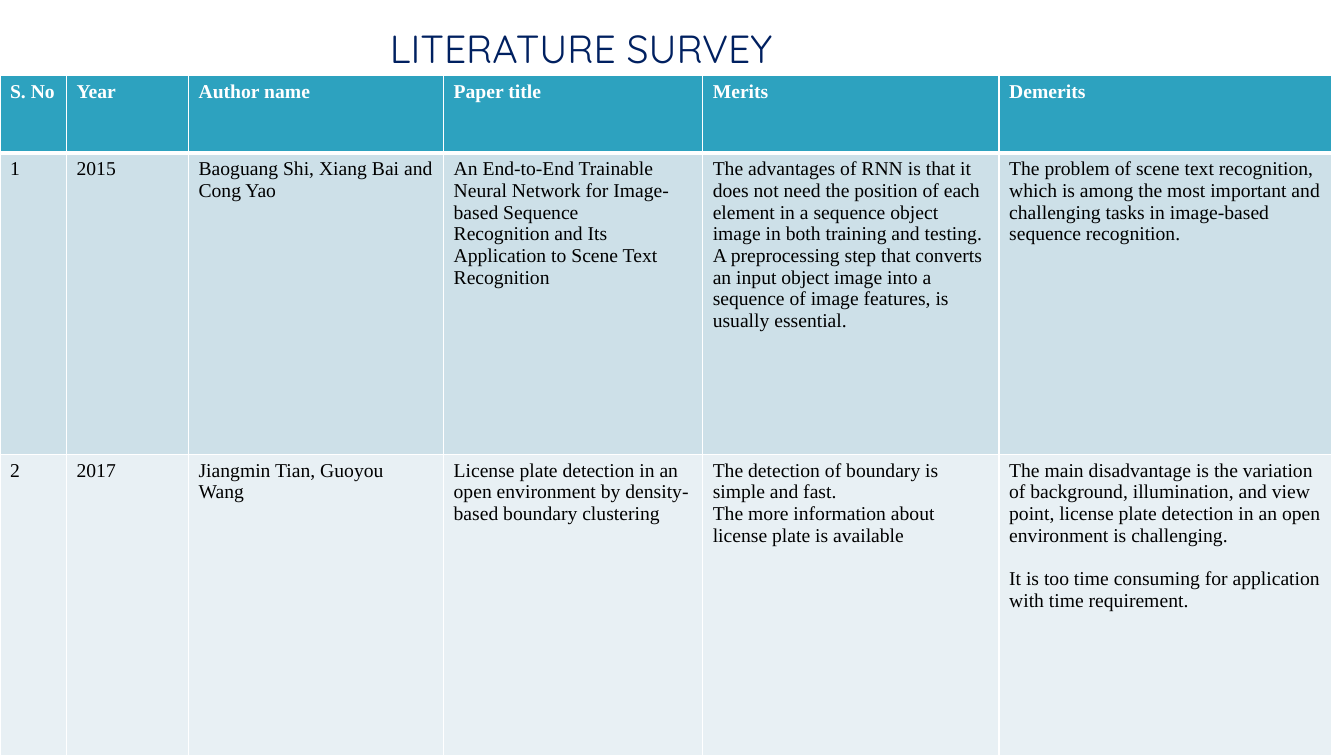
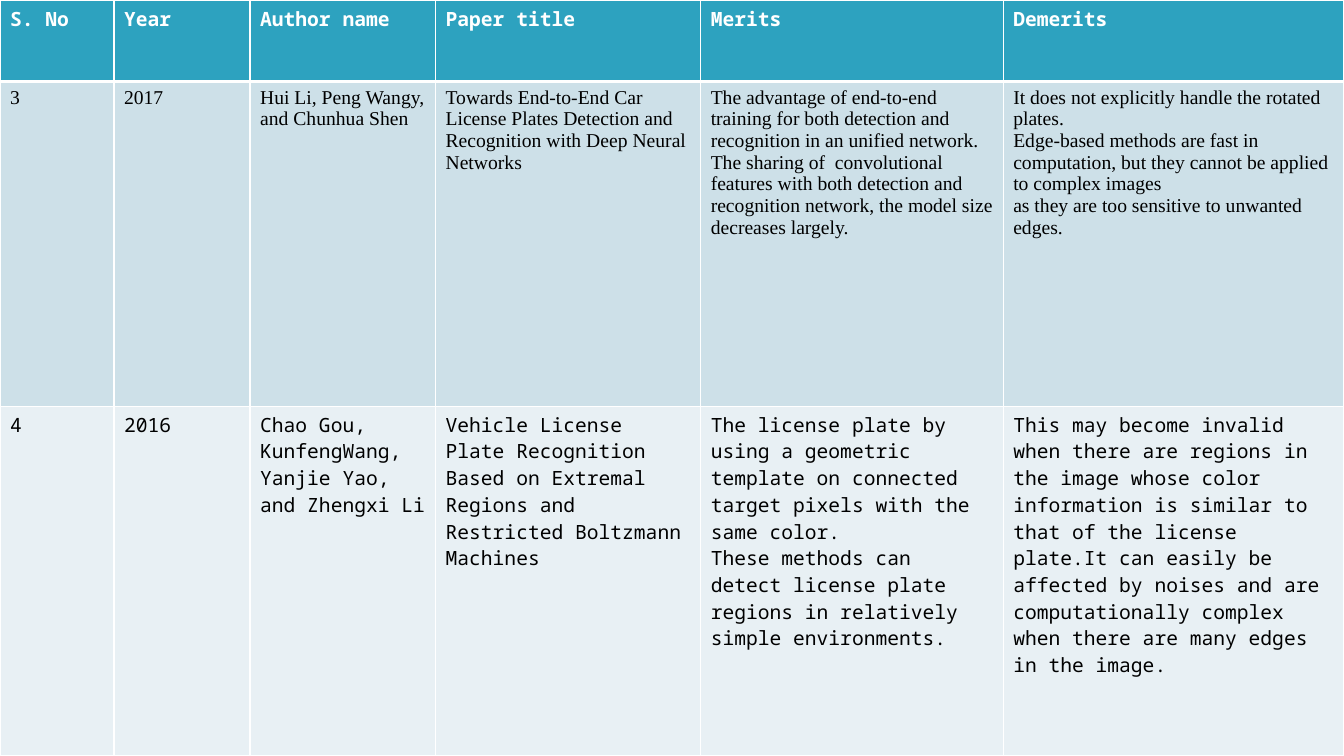
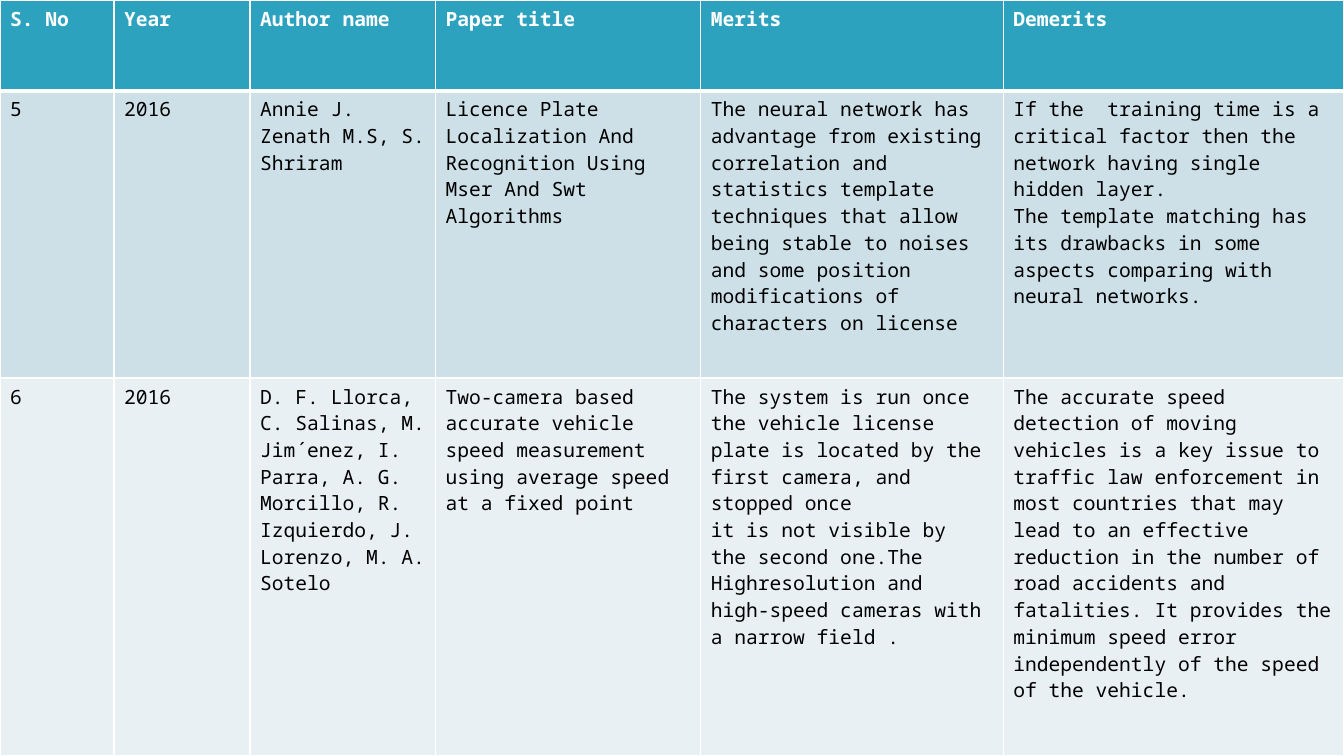
from lxml.etree import SubElement as Sub
from pptx import Presentation
from pptx.dml.color import RGBColor as Rgb
from pptx.enum.text import MSO_ANCHOR as Anchor, MSO_AUTO_SIZE as Fit, PP_ALIGN as Align
from pptx.oxml.ns import qn
from pptx.util import Inches, Pt


class Theme:
    navy = Rgb.from_string("002060")
    white = Rgb.from_string("FFFFFF")
    black = Rgb.from_string("000000")
    fills = [Rgb.from_string(c) for c in ("2DA2BF", "CDE0E8", "E8F0F4")]
    serif = "Times New Roman"
    mono = "Noto Sans Mono"
    head = "Quicksand"
    big = Pt(28)
    small = Pt(14)
    gap = Pt(15.5)
    thin = Pt(1)
    thick = Pt(3)


def style(para, face, size, color, bold):
    for run in para.runs:
        font = run.font
        font.name, font.size, font.bold = face, size, bold
        font.color.rgb = color


def edge(cell, row):
    props = cell._tc.get_or_add_tcPr()
    for side in "LRTB":
        thick = (row, side) in ((0, "B"), (1, "T"))
        line = Sub(props, qn(f"a:ln{side}"), w=str(Theme.thick if thick else Theme.thin))
        fill = Sub(line, qn("a:solidFill"))
        Sub(fill, qn("a:srgbClr"), val=str(Theme.white))


heads = ["S. No", "Year", "Author name", "Paper title", "Merits", "Demerits"]
wide = [1.13, 1.35, 1.84, 2.63, 3, 3.38]
pages = [
    {
        "title": "LITERATURE SURVEY",
        "top": 0.1,
        "width": 0.991,
        "cols": [0.66, 1.21, 2.53, 2.57, 2.94, 3.3],
        "rows": [0.77, 2.99, 2.99],
        "faces": [Theme.serif] * 3,
        "gaps": [(2, 5)],
        "body": [
            ["1", "2015", "Baoguang Shi, Xiang Bai and Cong Yao",
             "An End-to-End Trainable Neural Network for Image-based Sequence\n"
             "Recognition and Its Application to Scene Text Recognition",
             "The advantages of RNN is that it does not need the position of each element "
             "in a sequence object image in both training and testing.\n"
             "A preprocessing step that converts an input object image into a sequence "
             "of image features, is usually essential.",
             "The problem of scene text recognition, which is among the most important "
             "and challenging tasks in image-based sequence recognition."],
            ["2", "2017", "Jiangmin Tian, Guoyou Wang",
             "License plate detection in an open environment by density-based boundary clustering",
             "The detection of boundary is simple and fast.\n"
             "The more information about license plate is available",
             "The main disadvantage is the variation of background, illumination, and view "
             "point, license plate detection in an open environment is challenging.\n"
             "It is too time consuming for application with time requirement."],
        ],
    },
    {
        "title": None,
        "top": 0,
        "width": 1,
        "cols": wide,
        "rows": [0.81, 3.22, 3.47],
        "faces": [Theme.mono, Theme.serif, Theme.mono],
        "gaps": [],
        "body": [
            ["3", "2017", "Hui Li, Peng Wangy, and Chunhua Shen",
             "Towards End-to-End Car License Plates Detection and Recognition "
             "with Deep Neural Networks",
             "The advantage of end-to-end training for both detection and recognition "
             "in an unified network.\n"
             "The sharing of  convolutional features with both detection and recognition "
             "network, the model size decreases largely.",
             "It does not explicitly handle the rotated plates.\n"
             "Edge-based methods are fast in computation, but they cannot be applied "
             "to complex images\n"
             "as they are too sensitive to unwanted edges."],
            ["4", "2016", "Chao Gou, KunfengWang, Yanjie Yao, and Zhengxi Li",
             "Vehicle License Plate Recognition Based on Extremal Regions and "
             "Restricted Boltzmann Machines",
             "The license plate by using a geometric template on connected target pixels "
             "with the same color.\n"
             "These methods can detect license plate regions in relatively simple environments.",
             "This may become invalid when there are regions in the image whose color "
             "information is similar to that of the license plate.It can easily be affected "
             "by noises and are computationally complex when there are many edges in the image."],
        ],
    },
    {
        "title": None,
        "top": 0,
        "width": 1,
        "cols": wide,
        "rows": [0.9, 2.85, 3.75],
        "faces": [Theme.mono] * 3,
        "gaps": [],
        "body": [
            ["5", "2016", "Annie J. Zenath M.S, S. Shriram",
             "Licence Plate Localization And Recognition Using Mser And Swt Algorithms",
             "The neural network has advantage from existing correlation and statistics "
             "template techniques that allow being stable to noises and some position "
             "modifications of characters on license",
             "If the  training time is a critical factor then the network having single "
             "hidden layer.\n"
             "The template matching has its drawbacks in some aspects comparing with "
             "neural networks."],
            ["6", "2016",
             "D. F. Llorca, C. Salinas, M. Jim´enez, I. Parra, A. G. Morcillo, "
             "R. Izquierdo, J. Lorenzo, M. A. Sotelo",
             "Two-camera based accurate vehicle speed measurement using average speed "
             "at a fixed point",
             "The system is run once the vehicle license plate is located by the first "
             "camera, and stopped once\n"
             "it is not visible by the second one.The Highresolution and high-speed "
             "cameras with a narrow field .",
             "The accurate speed detection of moving vehicles is a key issue to traffic "
             "law enforcement in most countries that may lead to an effective reduction "
             "in the number of road accidents and fatalities. It provides the minimum "
             "speed error independently of the speed of the vehicle."],
        ],
    },
]

deck = Presentation()
deck.slide_width, deck.slide_height = Inches(13.33), Inches(7.5)
W, H = deck.slide_width, deck.slide_height

for page in pages:
    slide = deck.slides.add_slide(deck.slide_layouts[5 if page["title"] else 6])
    if page["title"]:
        title = slide.shapes.title
        title.left, title.top = int(W * 0.27), int(H * 0.025)
        title.width, title.height = int(W * 0.37), int(H * 0.08)
        frame = title.text_frame
        frame.text = page["title"]
        frame.auto_size, frame.vertical_anchor = Fit.NONE, Anchor.TOP
        frame.margin_left = int(W * 0.02)
        frame.paragraphs[0].alignment = Align.LEFT
        style(frame.paragraphs[0], Theme.head, Theme.big, Theme.navy, False)

    top, width = int(H * page["top"]), int(W * page["width"])
    cols, rows = page["cols"], page["rows"]
    grid = slide.shapes.add_table(len(rows), len(cols), 0, top, width, H - top).table
    for col, part in zip(grid.columns, cols):
        col.width = int(width * part / sum(cols))
    for row, part in zip(grid.rows, rows):
        row.height = int((H - top) * part / sum(rows))

    for r, texts in enumerate([heads] + page["body"]):
        for c, text in enumerate(texts):
            cell = grid.cell(r, c)
            edge(cell, r)
            cell.fill.solid()
            cell.fill.fore_color.rgb = Theme.fills[r]
            cell.text_frame.text = text
            for para in cell.text_frame.paragraphs:
                color = Theme.black if r else Theme.white
                style(para, page["faces"][r], Theme.small, color, r == 0)
    for r, c in page["gaps"]:
        grid.cell(r, c).text_frame.paragraphs[1].space_before = Theme.gap

deck.save("out.pptx")
